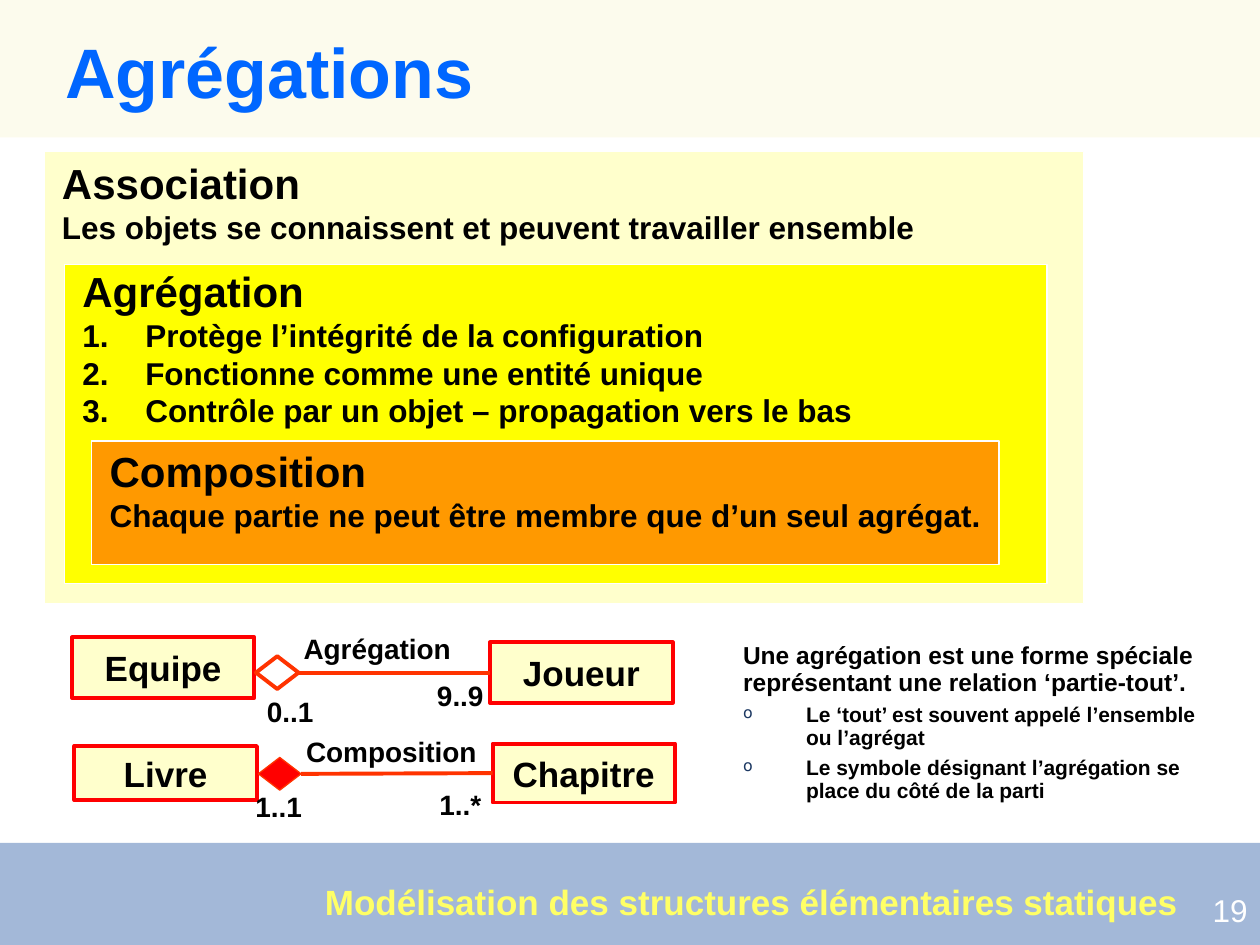
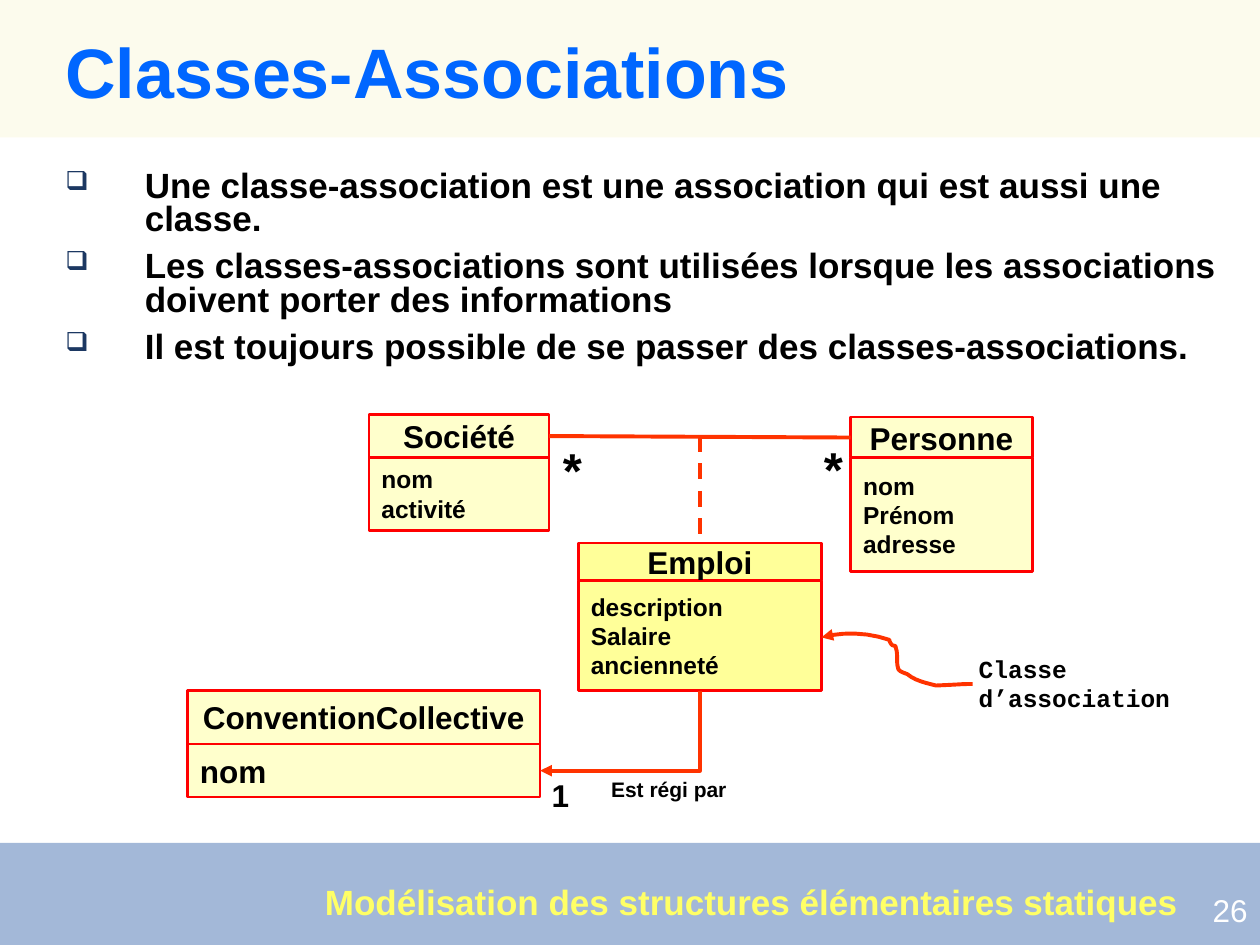
"""Build two UML slides: aggregations and association classes."""
from lxml import etree
from pptx import Presentation
from pptx.dml.color import RGBColor
from pptx.enum import dml, shapes, text
from pptx.oxml import ns
from pptx.util import Cm, Pt

TITLE_BLUE = RGBColor(0x00, 0x66, 0xFF)
FOOTER_YELLOW = RGBColor(0xFF, 0xFF, 0x66)
BAND_CREAM = RGBColor(0xFA, 0xF8, 0xD8)
BAND_BLUE = RGBColor(0x33, 0x63, 0xA9)
PALE = RGBColor(0xFF, 0xFF, 0xCC)
SOFT = RGBColor(0xFF, 0xFF, 0x99)
YELLOW = RGBColor(0xFF, 0xFF, 0x00)
ORANGE = RGBColor(0xFF, 0x99, 0x00)
RED = RGBColor(0xFF, 0x00, 0x00)
LINK_RED = RGBColor(0xFF, 0x33, 0x00)
BULLET_NAVY = RGBColor(0x1C, 0x38, 0x62)
WHITE = RGBColor(0xFF, 0xFF, 0xFF)
BLACK = RGBColor(0x00, 0x00, 0x00)

FOOTER = "Modélisation des structures élémentaires statiques"
BANDS = [(0, 2.77, BAND_CREAM), (16.99, 2.06, BAND_BLUE)]
BAND_OPACITY = 45

# name: (left margin, first-line indent, bullet tag, attribute, value)
INDENTS = {
    "plain": (0, 0, None, None, None),
    "lead": (1.6, 0, None, None, None),
    "number": (1.27, -1.27, "a:buAutoNum", "type", "arabicPeriod"),
    "square": (1.6, -1.6, "a:buChar", "char", "❑"),
    "circle": (2.87, -1.27, "a:buChar", "char", "o"),
}

PANELS = [
    ((0.89, 3.05, 20.96, 9.12), PALE, 0.13, [
        ("Association", 24, "plain"),
        ("Les objets se connaissent et peuvent travailler ensemble", 18, "plain")]),
    ((1.3, 5.33, 19.81, 6.43), YELLOW, 0.02, [
        ("Agrégation", 24, "plain"),
        ("Protège l’intégrité de la configuration", 18, "number"),
        ("Fonctionne comme une entité unique", 18, "number"),
        ("Contrôle par un objet – propagation vers le bas", 18, "number")]),
    ((1.85, 8.89, 18.29, 2.49), ORANGE, 0.1, [
        ("Composition", 24, "plain"),
        ("Chaque partie ne peut être membre que d’un seul agrégat.", 18, "plain")]),
]

RELATIONS = [
    {"whole": ("Equipe", (1.45, 12.85, 3.68, 1.22)),
     "part": ("Joueur", (9.88, 12.95, 3.68, 1.22)),
     "diamond": (5.16, 13.23, None, 2.25),
     "labels": [("Agrégation", 5.87, 12.6), ("0..1", 5.13, 13.87), ("9..9", 8.56, 13.56)]},
    {"whole": ("Livre", (1.5, 15.04, 3.68, 1.09)),
     "part": ("Chapitre", (9.93, 14.99, 3.68, 1.19)),
     "diamond": (5.21, 15.27, RED, 0.75),
     "labels": [("Composition", 5.92, 14.68), ("1..1", 4.9, 15.8), ("1..*", 8.61, 15.75)]},
]

AGGREGATION_NOTES = [
    ("Une agrégation est une forme spéciale représentant une relation ‘partie-tout’.", 14, "lead"),
    ("Le ‘tout’ est souvent appelé l’ensemble ou l’agrégat", 12, "circle"),
    ("Le symbole désignant l’agrégation se place du côté de la parti", 12, "circle"),
]

CLASS_NOTES = [(t, 20, "square") for t in (
    "Une classe-association est une association qui est aussi une classe.",
    "Les classes-associations sont utilisées lorsque les associations doivent porter des informations",
    "Il est toujours possible de se passer des classes-associations.")]

# name: (left, top, width, name height, attribute height, fill, attribute size, attributes)
CLASSES = {
    "Société": (7.44, 8.36, 3.63, 0.86, 1.47, PALE, 14, ["nom", "activité"]),
    "Personne": (17.15, 8.41, 3.66, 0.82, 2.29, PALE, 14, ["nom", "Prénom", "adresse"]),
    "Emploi": (11.66, 10.95, 4.9, 0.76, 2.21, SOFT, 14, ["description", "Salaire", "ancienneté"]),
    "ConventionCollective": (3.78, 13.92, 7.11, 1.08, 1.07, PALE, 18, ["nom"]),
}
CLASS_LABELS = [
    ("*", (11.1, 8.74, 1, 1.45), 28), ("*", (16.36, 8.71, 1, 1.45), 28),
    ("Est régi par", (12.07, 15.52, 3.73, 0.76), 12), ("1", (10.87, 15.52, 1, 1.02), 18),
]
CALLOUT = ["Classe", "d’association"]
CALLOUT_START = (16.56, 12.85)
CALLOUT_CURVES = [
    (16.99, 12.73, 17.5, 12.75, 17.93, 12.9), (17.93, 12.93, 17.96, 12.98, 17.98, 13),
    (18.01, 13.03, 18.06, 13, 18.06, 13.06), (18.11, 13.18, 18.06, 13.34, 18.11, 13.49),
    (18.14, 13.54, 18.21, 13.56, 18.29, 13.59), (18.44, 13.72, 18.67, 13.77, 18.87, 13.82),
    (19.58, 13.79, 19.33, 13.79, 19.61, 13.79),
]


def sub(parent, tag, **attrs):
    return etree.SubElement(parent, ns.qn(tag), attrs)


def indent(p, kind):
    margin, first, tag, attr, value = INDENTS[kind]
    pPr = p._p.get_or_add_pPr()
    pPr.set("marL", str(Cm(margin)))
    pPr.set("indent", str(Cm(first)))
    if tag == "a:buChar":
        sub(sub(pPr, "a:buClr"), "a:srgbClr", val=str(BULLET_NAVY))
        sub(pPr, "a:buSzPct", val="75000")
    if tag:
        sub(pPr, tag, **{attr: value})


def write(tf, paras, color=BLACK, font="Arial", bold=True, align=text.PP_ALIGN.LEFT,
          spacing=None, before=0):
    tf.word_wrap = True
    for i, (words, size, kind) in enumerate(paras):
        p = tf.add_paragraph() if i else tf.paragraphs[0]
        indent(p, kind)
        p.alignment = align
        if spacing:
            p.line_spacing = spacing
        if i and before:
            p.space_before = Pt(before)
        r = p.add_run()
        r.text = words
        r.font.size, r.font.name, r.font.bold = Pt(size), font, bold
        r.font.color.rgb = color


def add_text(s, at, paras, inset=True, **style):
    tf = s.shapes.add_textbox(*map(Cm, at)).text_frame
    if not inset:
        tf.margin_left = tf.margin_right = tf.margin_top = tf.margin_bottom = 0
    write(tf, paras, **style)


def add_box(s, at, fill=None, line=None, width=0.75, preset=shapes.MSO_SHAPE.RECTANGLE):
    sp = s.shapes.add_shape(preset, *map(Cm, at))
    sp.shadow.inherit = False
    if fill is None:
        sp.fill.background()
    else:
        sp.fill.solid()
        sp.fill.fore_color.rgb = fill
    if line is None:
        sp.line.fill.background()
    else:
        sp.line.color.rgb, sp.line.width = line, Pt(width)
    return sp


def add_class_box(s, at, lines, size, fill=PALE, width=1.5, align=text.PP_ALIGN.CENTER):
    sp = add_box(s, at, fill, RED, width)
    sp.text_frame.vertical_anchor = text.MSO_ANCHOR.MIDDLE
    write(sp.text_frame, [(t, size, "plain") for t in lines], align=align)
    return sp


def style_link(link):
    link.line.color.rgb, link.line.width = LINK_RED, Pt(2.25)


def add_link(s, start, end, kind=shapes.MSO_CONNECTOR.STRAIGHT):
    link = s.shapes.add_connector(kind, *map(Cm, start + end))
    style_link(link)
    sub(link._element.spPr, "a:effectLst")
    return link


def join(s, begin, begin_site, end, end_site):
    link = add_link(s, (0, 0), (1, 1))
    link.begin_connect(begin, begin_site)
    link.end_connect(end, end_site)


def add_elbow(s, x, y, end_x, end_y):
    w, h = end_y - y, x - end_x
    left, top = (x + end_x - w) / 2, (y + end_y - h) / 2
    link = add_link(s, (left, top), (left + w, top + h), shapes.MSO_CONNECTOR.ELBOW)
    link._element.spPr.find(ns.qn("a:prstGeom")).set("prst", "bentConnector2")
    link._element.spPr.find(ns.qn("a:xfrm")).set("rot", "5400000")
    sub(link.line._get_or_add_ln(), "a:tailEnd", type="triangle")


def curve_points(start, curves, steps=6):
    x0, y0 = start
    for x1, y1, x2, y2, x3, y3 in curves:
        for t in (k / steps for k in range(1, steps + 1)):
            weights = (1 - t) ** 3, 3 * t * (1 - t) ** 2, 3 * t * t * (1 - t), t ** 3
            yield tuple(Cm(sum(w * c for w, c in zip(weights, axis)))
                        for axis in ((x0, x1, x2, x3), (y0, y1, y2, y3)))
        x0, y0 = x3, y3


def add_callout(s):
    builder = s.shapes.build_freeform(*map(Cm, CALLOUT_START))
    builder.add_line_segments(list(curve_points(CALLOUT_START, CALLOUT_CURVES)), close=False)
    sp = builder.convert_to_shape()
    sp.shadow.inherit = False
    sp.fill.background()
    style_link(sp)
    sub(sp.line._get_or_add_ln(), "a:headEnd", type="triangle")
    add_text(s, (19.48, 13.06, 5.28, 1.4), [(t, 14, "plain") for t in CALLOUT], font="Courier New")


def new_slide(prs, title, number):
    s = prs.slides.add_slide(prs.slide_layouts[6])
    for top, height, color in BANDS:
        sp = add_box(s, (0, top, 25.4, height), color)
        clr = sp._element.spPr.find(".//" + ns.qn("a:srgbClr"))
        sub(clr, "a:alpha", val=str(BAND_OPACITY * 1000))
    add_text(s, (22.91, 17.83, 2.49, 1.02), [(number, 18, "plain")], color=WHITE, bold=False,
             align=text.PP_ALIGN.RIGHT)
    add_text(s, (1.07, 0.64, 23.8, 1.78), [(title, 40, "plain")], color=TITLE_BLUE, spacing=0.9)
    add_text(s, (6.55, 17.75, 17.6, 0.84), [(FOOTER, 20, "plain")], inset=False,
             color=FOOTER_YELLOW)
    return s


def aggregation_slide(prs):
    s = new_slide(prs, "Agrégations", "19")
    for at, fill, inset, paras in PANELS:
        sp = add_box(s, at, fill, WHITE)
        tf = sp.text_frame
        tf.vertical_anchor = text.MSO_ANCHOR.TOP
        tf.margin_left, tf.margin_top, tf.margin_right = Cm(0.36), Cm(inset), Cm(0.1)
        write(tf, paras)
    for rel in RELATIONS:
        (whole, whole_at), (part, part_at) = rel["whole"], rel["part"]
        add_class_box(s, whole_at, [whole], 20, width=2.25)
        part_box = add_class_box(s, part_at, [part], 20, width=2.25)
        x, y, fill, width = rel["diamond"]
        diamond = add_box(s, (x, y, 0.86, 0.66), fill, LINK_RED, width, shapes.MSO_SHAPE.DIAMOND)
        join(s, diamond, 3, part_box, 1)
        for label, x, y in rel["labels"]:
            add_text(s, (x, y, 4.5 if label.isalpha() else 1.55, 0.94), [(label, 16, "plain")])
    add_text(s, (13.13, 12.85, 11.38, 3.48), AGGREGATION_NOTES, spacing=0.9, before=4.5)


def association_class_slide(prs):
    s = new_slide(prs, "Classes-Associations", "26")
    add_text(s, (1.07, 3.33, 23.83, 4.6), CLASS_NOTES, spacing=0.8, before=7.5)
    heads = {}
    for name, (x, y, w, head_h, body_h, fill, size, attributes) in CLASSES.items():
        heads[name] = add_class_box(s, (x, y, w, head_h), [name], 18, fill)
        add_class_box(s, (x, y + head_h, w, body_h), attributes, size, fill,
                      align=text.PP_ALIGN.LEFT)
    join(s, heads["Société"], 3, heads["Personne"], 1)
    x, y, w, head_h, body_h = CLASSES["Emploi"][:5]
    middle = x + w / 2
    dashed = add_link(s, (middle, 8.79), (middle, y))
    dashed.end_connect(heads["Emploi"], 0)
    dashed.line.dash_style = dml.MSO_LINE.DASH
    left, top, width, name_h, attr_h = CLASSES["ConventionCollective"][:5]
    add_elbow(s, middle, y + head_h + body_h, left + width, top + name_h + attr_h / 2)
    for label, at, size in CLASS_LABELS:
        add_text(s, at, [(label, size, "plain")])
    add_callout(s)


def main():
    prs = Presentation()
    prs.slide_width, prs.slide_height = Cm(25.4), Cm(19.05)
    aggregation_slide(prs)
    association_class_slide(prs)
    prs.save("out.pptx")


if __name__ == "__main__":
    main()
